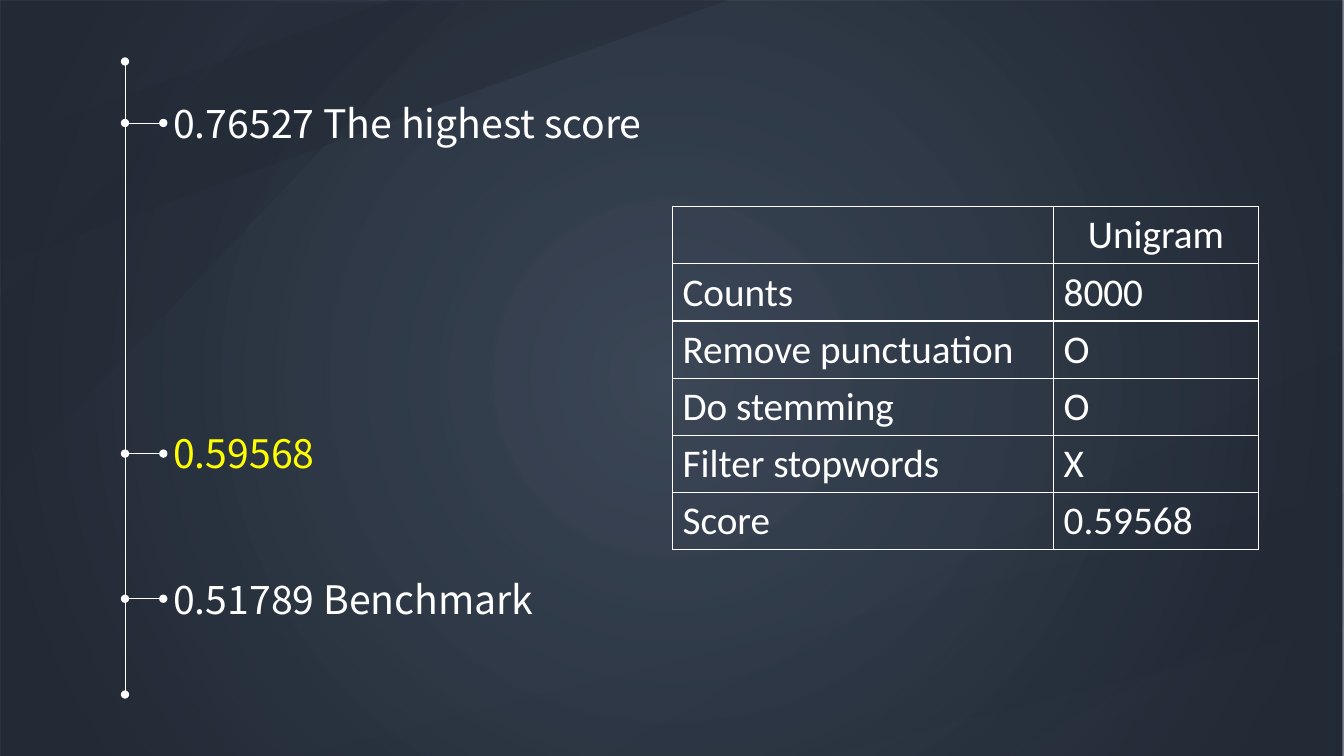
from lxml import etree
from pptx import Presentation
from pptx.dml.color import RGBColor
from pptx.enum.shapes import MSO_CONNECTOR, MSO_SHAPE
from pptx.enum.text import PP_ALIGN
from pptx.oxml import parse_xml
from pptx.oxml.ns import nsdecls, qn
from pptx.util import Inches, Pt

LINE = MSO_CONNECTOR.STRAIGHT
RECT, STRIPE = MSO_SHAPE.RECTANGLE, MSO_SHAPE.DIAGONAL_STRIPE
CENTER = PP_ALIGN.CENTER

WIDE, HIGH = 13.33, 7.5
HUE = {"slate": "333F50", "night": "222A35", "white": "FFFFFF", "gold": "FFFF00"}

STRIPES = [
    ((0, 0, 7.22, 2.61), 0, 0.536, 40),
    ((0, 0.03, 4.56, 4.82), 0, 0.605, 30),
    ((6.01, 3.46, 7.32, 4.03), 180, 0.459, 5),
    ((2.98, 4.9, 10.36, 2.6), 180, 0.502, 5),
]
SCORES = [
    ("0.76527 The highest score", 1.22, 5.26, "white"),
    ("0.59568", 4.5, 3.97, "gold"),
    ("0.51789 Benchmark", 5.94, 3.97, "white"),
]
AXIS, TICK, TOP, FOOT = 1.24, 1.62, 0.61, 6.89
LABEL = 0.57
ROWS = [
    ("", "Unigram"),
    ("Counts", "8000"),
    ("Remove punctuation", "O"),
    ("Do stemming", "O"),
    ("Filter stopwords", "X"),
    ("Score", "0.59568"),
]
COLS = (3.78, 2.03)
ROW = 0.567
GRID = (6.67, 2.05)


def rgb(name):
    return RGBColor.from_string(HUE[name])


def write(frame, text, face, hue, align=None):
    para = frame.paragraphs[0]
    para.alignment = align
    run = para.add_run()
    run.text = text
    for key, val in {"name": face, "size": Pt(28)}.items():
        setattr(run.font, key, val)
    run.font.color.rgb = rgb(hue)


def panel(slide, kind, box):
    shape = slide.shapes.add_shape(kind, *map(Inches, box))
    shape.shadow.inherit = False
    shape.line.fill.background()
    return shape


def backdrop(slide):
    base = panel(slide, RECT, (0, 0, WIDE, HIGH))
    base.fill.background()
    props = base.fill._xPr
    props.replace(props.find(qn("a:noFill")), parse_xml(
        f'<a:gradFill {nsdecls("a")} rotWithShape="1"><a:gsLst>'
        f'<a:gs pos="0"><a:srgbClr val="{HUE["slate"]}"><a:alpha val="95000"/></a:srgbClr></a:gs>'
        f'<a:gs pos="90000"><a:srgbClr val="{HUE["night"]}"/></a:gs></a:gsLst>'
        '<a:path path="circle"><a:fillToRect l="50000" t="50000" r="50000" b="50000"/></a:path>'
        '</a:gradFill>'))
    for box, turn, cut, clear in STRIPES:
        band = panel(slide, STRIPE, box)
        band.rotation = turn
        band.adjustments[0] = cut
        band.fill.solid()
        band.fill.fore_color.rgb = rgb("night")
        color = band.fill._xPr.find(".//" + qn("a:srgbClr"))
        etree.SubElement(color, qn("a:alpha"), val=str(clear * 1000))


def rule(slide, *ends):
    bar = slide.shapes.add_connector(LINE, *map(Inches, ends))
    bar.line.color.rgb = rgb("white")
    bar.line.width = Pt(0.5)
    edge = bar.line._get_or_add_ln()
    for tip in ("a:headEnd", "a:tailEnd"):
        etree.SubElement(edge, qn(tip), type="oval")
    etree.SubElement(edge.getparent(), qn("a:effectLst"))


def scale(slide):
    rule(slide, AXIS, FOOT, AXIS, TOP)
    for text, mid, wide, hue in SCORES:
        rule(slide, AXIS, mid, TICK, mid)
        box = (TICK, mid - LABEL / 2, wide, LABEL)
        frame = slide.shapes.add_textbox(*map(Inches, box)).text_frame
        frame.word_wrap = True
        write(frame, text, "Noto Sans CJK SC", hue)


def border(cell):
    cell.fill.background()
    props = cell._tc.get_or_add_tcPr()
    for spot, side in enumerate("LRTB"):
        props.insert(spot, parse_xml(
            f'<a:ln{side} {nsdecls("a")} w="12700"><a:solidFill>'
            f'<a:srgbClr val="{HUE["white"]}"/></a:solidFill></a:ln{side}>'))


def results(slide):
    size = (sum(COLS), ROW * len(ROWS))
    table = slide.shapes.add_table(len(ROWS), len(COLS), *map(Inches, GRID + size)).table
    table.first_row = table.horz_banding = False
    for col, wide in zip(table.columns, COLS):
        col.width = Inches(wide)
    for r, row in enumerate(ROWS):
        for c, text in enumerate(row):
            cell = table.cell(r, c)
            border(cell)
            if text:
                write(cell.text_frame, text, "Calibri", "white", None if r else CENTER)


def main():
    deck = Presentation()
    deck.slide_width, deck.slide_height = Inches(WIDE), Inches(HIGH)
    slide = deck.slides.add_slide(deck.slide_layouts[6])
    backdrop(slide)
    scale(slide)
    results(slide)
    deck.save("out.pptx")


if __name__ == "__main__":
    main()
